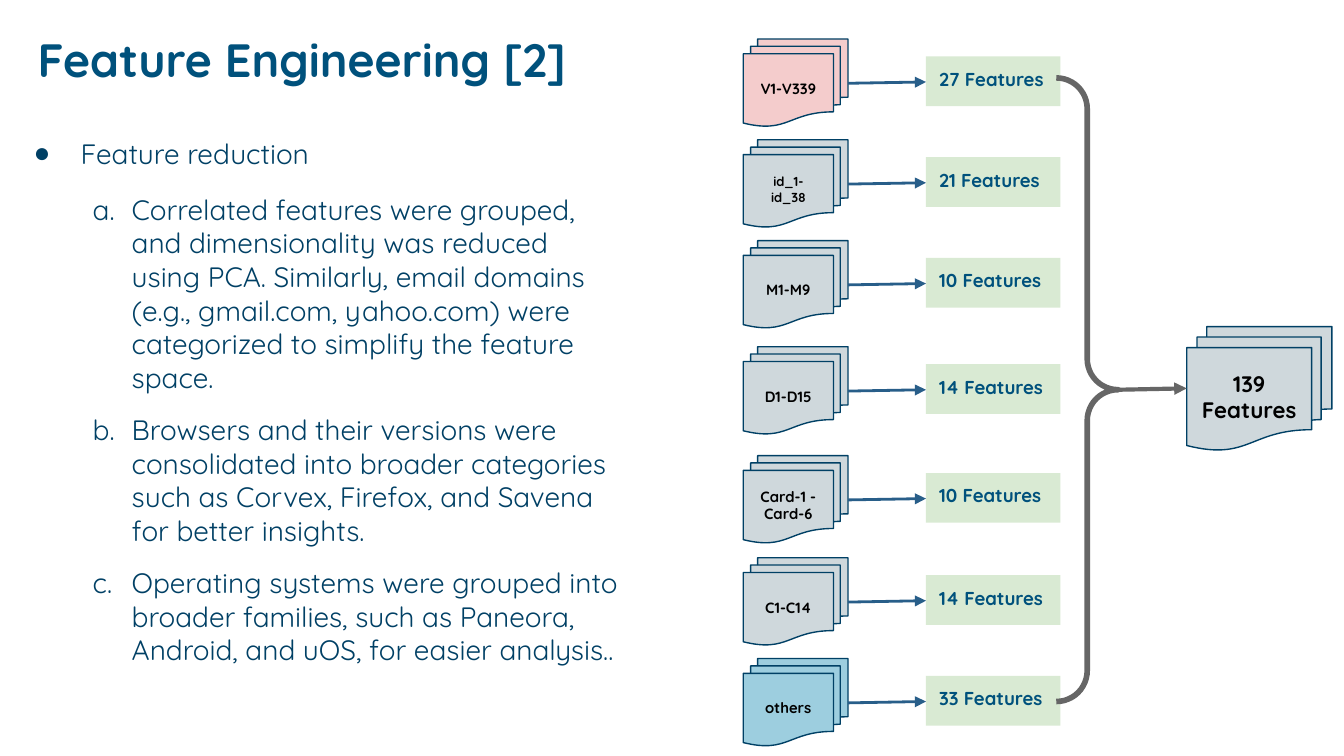
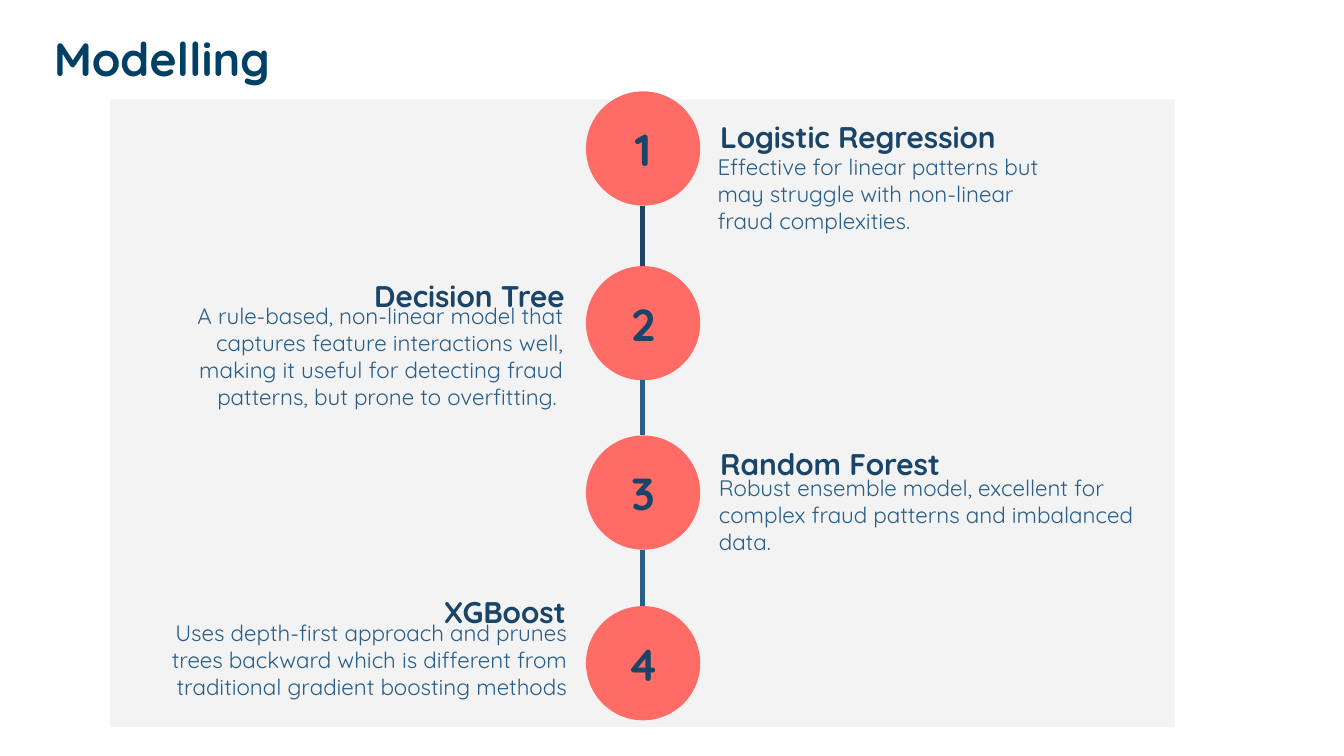
from lxml.etree import SubElement
from pptx import Presentation
from pptx.dml.color import RGBColor
from pptx.enum.shapes import MSO_CONNECTOR, MSO_SHAPE
from pptx.enum.text import MSO_ANCHOR, MSO_AUTO_SIZE, PP_ALIGN
from pptx.oxml.ns import qn
from pptx.util import Inches, Pt

FONT = "Quicksand"
COLORS = {
    "title": "00517C", "ink": "004065", "navy": "1A4568", "steel": "285E89",
    "black": "000000", "brace": "666666", "green": "D9EAD3", "pink": "F4CCCC",
    "gray": "CFD8DC", "blue": "9DCEDF", "panel": "F3F3F3", "coral": "FF6B65",
}

# Slide 1 content
REDUCTION_HEAD = "Feature reduction"
REDUCTION_STEPS = [
    "Correlated features were grouped, and dimensionality was reduced using PCA. "
    "Similarly, email domains (e.g., gmail.com, yahoo.com) were categorized to "
    "simplify the feature space.",
    "Browsers and their versions were consolidated into broader categories such as "
    "Corvex, Firefox, and Savena for better insights.",
    "Operating systems were grouped into broader families, such as Paneora, "
    "Android, and uOS, for easier analysis..",
]
# top, group, text size, fill, remaining features
FEATURE_GROUPS = [
    (0.29, "V1-V339", 8, "pink", "27 Features"),
    (1.04, "id_1-id_38", 7, "gray", "21 Features"),
    (1.79, "M1-M9", 8, "gray", "10 Features"),
    (2.58, "D1-D15", 8, "gray", "14 Features"),
    (3.39, "Card-1 - Card-6", 8, "gray", "10 Features"),
    (4.15, "C1-C14", 8, "gray", "14 Features"),
    (4.9, "others", 8, "blue", "33 Features"),
]
TOTAL = "139 Features"

# Slide 2 content: circle top, model, heading box, description, description box
MODELS = [
    (0.68, "Logistic Regression", (5.26, 0.74, 2.83, 0.5),
     "Effective for linear patterns but may struggle with non-linear fraud "
     "complexities.", (5.24, 1.04, 2.85, 0.74)),
    (1.98, "Decision Tree", (1.42, 1.93, 2.88, 0.5),
     "A rule-based, non-linear model that captures feature interactions well, making "
     "it useful for detecting fraud patterns, but prone to overfitting. ",
     (0.97, 2.15, 3.32, 0.95)),
    (3.24, "Random Forest", (5.26, 3.18, 2.83, 0.5),
     "Robust ensemble model, excellent for complex fraud patterns and imbalanced "
     "data.", (5.25, 3.43, 3.32, 0.85)),
    (4.51, "XGBoost", (1.48, 4.28, 2.83, 0.5),
     "Uses depth-first approach and prunes trees backward which is different from "
     "traditional gradient boosting methods", (0.94, 4.51, 3.38, 0.85)),
]


def rgb(name):
    return RGBColor.from_string(COLORS[name])


def place(box, at):
    box.left, box.top, box.width, box.height = (Inches(value) for value in at)


def prepare_frame(box, anchor=MSO_ANCHOR.TOP, fit=MSO_AUTO_SIZE.NONE):
    frame = box.text_frame
    frame.word_wrap = True
    frame.auto_size = fit
    frame.vertical_anchor = anchor
    frame.margin_left = frame.margin_right = Inches(0.1)
    frame.margin_top = frame.margin_bottom = Inches(0.1)
    return frame


def write(para, text, size=12, color="ink", bold=False, align=PP_ALIGN.LEFT,
          spacing=None, before=0, after=0):
    para.alignment = align
    para.space_before, para.space_after = Pt(before), Pt(after)
    if spacing:
        para.line_spacing = spacing
    span = para.add_run()
    span.text = text
    span.font.name, span.font.size, span.font.bold = FONT, Pt(size), bold
    span.font.color.rgb = rgb(color)


def add_bullet(para, tag, indent, hanging, **attributes):
    props = para._p.get_or_add_pPr()
    props.set("marL", str(Inches(indent)))
    props.set("indent", str(-Inches(hanging)))
    tint = SubElement(props, qn("a:buClr"))
    SubElement(tint, qn("a:srgbClr"), val=COLORS["ink"])
    SubElement(props, qn(tag), **attributes)


def add_title(page, text, at, color):
    place(page.shapes.title, at)
    frame = prepare_frame(page.shapes.title, MSO_ANCHOR.BOTTOM)
    write(frame.paragraphs[0], text, size=25, color=color, bold=True)


def add_block(page, kind, at, fill=None, line=None, weight=0.75):
    block = page.shapes.add_shape(kind, *(Inches(value) for value in at))
    block.shadow.inherit = False
    if fill:
        block.fill.solid()
        block.fill.fore_color.rgb = rgb(fill)
    else:
        block.fill.background()
    if line:
        block.line.color.rgb = rgb(line)
        block.line.width = Pt(weight)
    else:
        block.line.fill.background()
    return block


def add_label(block, text, **style):
    frame = prepare_frame(block, MSO_ANCHOR.MIDDLE)
    write(frame.paragraphs[0], text, bold=True, align=PP_ALIGN.CENTER, **style)


def add_text(page, text, at, **style):
    box = page.shapes.add_textbox(*(Inches(value) for value in at))
    write(prepare_frame(box).paragraphs[0], text, **style)


def add_line(page, start, end, color, weight, arrow=False):
    points = (Inches(value) for value in (*start, *end))
    line = page.shapes.add_connector(MSO_CONNECTOR.STRAIGHT, *points)
    line.line.color.rgb = rgb(color)
    line.line.width = Pt(weight)
    if arrow:
        SubElement(line.line._get_or_add_ln(), qn("a:tailEnd"), type="triangle")
    SubElement(line._element.spPr, qn("a:effectLst"))


def build_features(deck):
    page = deck.slides.add_slide(deck.slide_layouts[1])
    add_title(page, "Feature Engineering [2]", (0.18, 0.04, 5.16, 0.71), "title")

    # Outline of the reduction steps
    body = page.placeholders[1]
    place(body, (0, 0.79, 4.7, 3.95))
    frame = prepare_frame(body)
    head = frame.paragraphs[0]
    write(head, REDUCTION_HEAD, size=15, spacing=1.5)
    add_bullet(head, "a:buChar", 0.5, 0.35, char="●")
    for index, step in enumerate(REDUCTION_STEPS):
        para = frame.add_paragraph()
        para.level = 1
        write(para, step, size=15, before=10 if index else 12)
        add_bullet(para, "a:buAutoNum", 0.88, 0.29, type="alphaLcPeriod")

    # Feature groups and their reduced counts
    for top, group, size, fill, count in FEATURE_GROUPS:
        stack = add_block(page, MSO_SHAPE.FLOWCHART_MULTIDOCUMENT,
                          (5.53, top, 0.78, 0.65), fill, "ink")
        add_label(stack, group, size=size, color="black")
        result = add_block(page, MSO_SHAPE.RECTANGLE,
                           (6.89, top + 0.13, 1, 0.37), "green")
        frame = prepare_frame(result, fit=MSO_AUTO_SIZE.SHAPE_TO_FIT_TEXT)
        write(frame.paragraphs[0], count, size=10, color="title", bold=True)
        add_line(page, (6.31, top + 0.33), (6.89, top + 0.32), "steel", 1.5, arrow=True)

    # Combined total
    brace = add_block(page, MSO_SHAPE.RIGHT_BRACE, (7.86, 0.58, 0.46, 4.64),
                      line="brace", weight=3)
    brace.adjustments[0] = brace.adjustments[1] = 0.5
    total = add_block(page, MSO_SHAPE.FLOWCHART_MULTIDOCUMENT,
                      (8.83, 2.43, 1.08, 0.92), "gray", "ink")
    add_label(total, TOTAL, size=12, color="black")
    add_line(page, (8.32, 2.9), (8.83, 2.89), "brace", 2.25, arrow=True)


def build_models(deck):
    page = deck.slides.add_slide(deck.slide_layouts[5])
    add_title(page, "Modelling", (0.3, -0.06, 2.09, 0.8), "ink")
    add_block(page, MSO_SHAPE.RECTANGLE, (0.82, 0.74, 7.92, 4.67), "panel")

    # Numbered timeline
    left, size = 4.36, 0.85
    tops = [model[0] for model in MODELS]
    for number, top in enumerate(tops, 1):
        circle = add_block(page, MSO_SHAPE.OVAL, (left, top, size, size), "coral")
        add_label(circle, str(number), size=24, color="navy")
    for index, (top, following) in enumerate(zip(tops, tops[1:])):
        add_line(page, (4.78, top + size), (4.78, following),
                 "steel" if index else "navy", 2.25)

    # Models alternate right and left of the timeline
    for index, (_, name, name_at, detail, detail_at) in enumerate(MODELS):
        align = PP_ALIGN.RIGHT if index % 2 else PP_ALIGN.LEFT
        add_text(page, detail, detail_at, color="steel", align=align)
        add_text(page, name, name_at, size=16, color="navy", bold=True,
                 align=align, spacing=1.15, after=16)


def main():
    deck = Presentation()
    # Widescreen page, 16 to 9
    deck.slide_width = Inches(10)
    deck.slide_height = deck.slide_width * 9 // 16
    build_features(deck)
    build_models(deck)
    deck.save("out.pptx")


if __name__ == "__main__":
    main()
